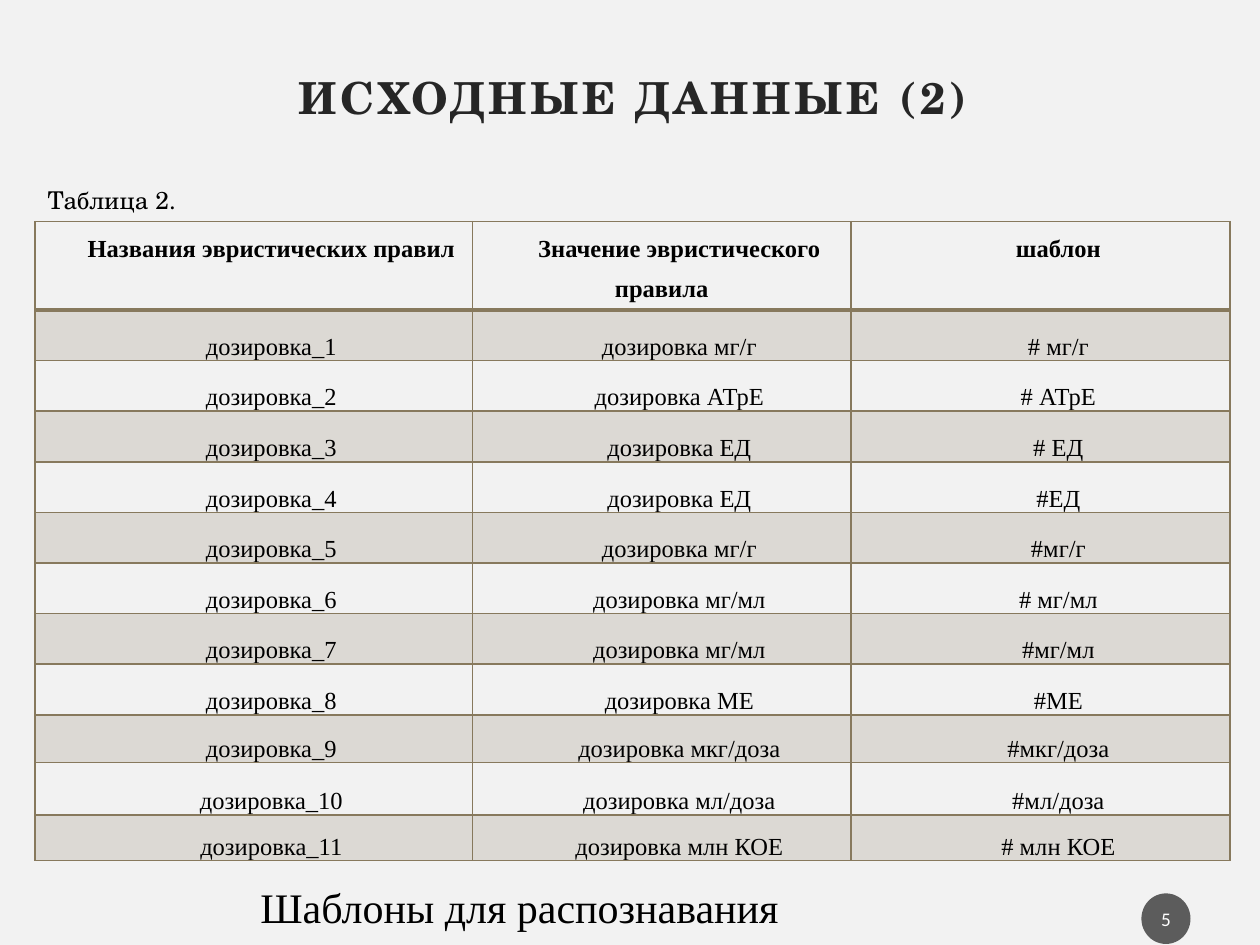
from lxml.etree import SubElement, Element
from pptx import Presentation
from pptx.dml.color import RGBColor as Rgb
from pptx.enum.shapes import MSO_SHAPE as Shape
from pptx.enum.text import MSO_ANCHOR as Anchor, PP_ALIGN as Align
from pptx.oxml.ns import qn
from pptx.util import Cm, Pt

COLORS = {"page": "F2F2F2", "title": "262626", "text": "000000",
          "accent": "87795D", "badge": "1D1D1D", "number": "FFFFFF"}
SERIF, SCHOLA, SANS = "Times New Roman", "TeX Gyre Schola", "Calibri"
HEADER = ("Названия эвристических правил", "Значение эвристического правила", "шаблон")
RULES = [
    ("дозировка мг/г", "# мг/г"),
    ("дозировка АТрЕ", "# АТрЕ"),
    ("дозировка ЕД", "# ЕД"),
    ("дозировка ЕД", "#ЕД"),
    ("дозировка мг/г", "#мг/г"),
    ("дозировка мг/мл", "# мг/мл"),
    ("дозировка мг/мл", "#мг/мл"),
    ("дозировка МЕ", "#МЕ"),
    ("дозировка мкг/доза", "#мкг/доза"),
    ("дозировка мл/доза", "#мл/доза"),
    ("дозировка млн КОЕ", "# млн КОЕ"),
]
COLUMN_WIDTHS = (8.81, 7.64, 7.64)
ROW_HEIGHTS = [1.65] + [1.02] * 8 + [0.96, 1.06, 0.92]


def write(frame, text, size, font=SERIF, color="text", bold=False,
          align=Align.LEFT, spacing=None, indent=None, tracking=None):
    para = frame.paragraphs[0]
    para.alignment = align
    if spacing:
        para.line_spacing = spacing
    if indent:
        para._p.get_or_add_pPr().set("indent", str(Cm(indent)))
    span = para.add_run()
    span.text = text
    span.font.size, span.font.name, span.font.bold = Pt(size), font, bold
    span.font.color.rgb = Rgb.from_string(COLORS[color])
    if tracking:
        span._r.get_or_add_rPr().set("spc", str(tracking * 100))


class Page:
    """Draws the elements of one slide in a shared style."""

    def __init__(self, deck):
        self.page = deck.slides.add_slide(deck.slide_layouts[6])
        self.fill(self.page.background, "page")

    def fill(self, target, color, alpha=None):
        target.fill.solid()
        target.fill.fore_color.rgb = Rgb.from_string(COLORS[color])
        if alpha:
            owner = target._tc if hasattr(target, "_tc") else target._element
            tint = next(owner.iter(qn("a:srgbClr")))
            SubElement(tint, qn("a:alpha"), val=str(alpha * 1000))

    def margins(self, target, side, top):
        target.margin_left = target.margin_right = Cm(side)
        target.margin_top = target.margin_bottom = Cm(top)

    def text(self, place, text, size, inset=(0.25, 0.13), anchor=Anchor.TOP, **style):
        box = self.page.shapes.add_textbox(*map(Cm, place))
        frame = box.text_frame
        frame.word_wrap = True
        frame.vertical_anchor = anchor
        self.margins(frame, *inset)
        write(frame, text, size, **style)

    def badge(self, place, text):
        badge = self.page.shapes.add_shape(Shape.OVAL, *map(Cm, place))
        badge.shadow.inherit = False
        self.fill(badge, "badge", alpha=70)
        badge.line.fill.background()
        frame = badge.text_frame
        frame.vertical_anchor = Anchor.MIDDLE
        self.margins(frame, 0, 0)
        write(frame, text, 11, font=SANS, color="number", align=Align.CENTER)

    def borders(self, cell, top, bottom):
        properties = cell._tc.get_or_add_tcPr()
        for place, (side, width) in enumerate(zip("LRTB", (1, 1, top, bottom))):
            line = Element(qn("a:ln" + side), w=str(Pt(width)))
            paint = SubElement(line, qn("a:solidFill"))
            SubElement(paint, qn("a:srgbClr"), val=COLORS["accent"])
            properties.insert(place, line)

    def table(self, left, top, rows):
        size = map(Cm, (left, top, sum(COLUMN_WIDTHS), sum(ROW_HEIGHTS)))
        table = self.page.shapes.add_table(len(rows), len(COLUMN_WIDTHS), *size).table
        table.first_row = table.horz_banding = False
        for column, width in zip(table.columns, COLUMN_WIDTHS):
            column.width = Cm(width)
        for r, values in enumerate(rows):
            table.rows[r].height = Cm(ROW_HEIGHTS[r])
            for c, value in enumerate(values):
                cell = table.cell(r, c)
                self.margins(cell, 0.13, 0)
                cell.vertical_anchor = Anchor.BOTTOM if r else Anchor.TOP
                if r % 2:
                    self.fill(cell, "accent", alpha=20)
                else:
                    cell.fill.background()
                self.borders(cell, 2 if r == 1 else 1, 1 if r else 2)
                write(cell.text_frame, value, 14, bold=r == 0,
                      align=Align.CENTER, spacing=1.5, indent=0.71)


def main():
    deck = Presentation()
    deck.slide_width, deck.slide_height = Cm(25.4), Cm(19.05)
    page = Page(deck)
    page.text((0.71, 0.99, 24.08, 2.06), "ИСХОДНЫЕ ДАННЫЕ (2)", 25.2,
              inset=(0.51, 0.51), anchor=Anchor.MIDDLE, font=SCHOLA, color="title",
              bold=True, align=Align.CENTER, spacing=0.9, tracking=2)
    page.badge((23.01, 18.01, 0.99, 1.02), "5")
    rows = [(f"дозировка_{number}", *rule) for number, rule in enumerate(RULES, 1)]
    page.table(0.71, 4.47, [HEADER] + rows)
    page.text((5, 17.65, 12.4, 1.27), "Шаблоны для распознавания", 24)
    page.text((0.71, 3.61, 14.58, 0.86), "Таблица 2.", 14, font=SCHOLA)
    deck.save("out.pptx")


if __name__ == "__main__":
    main()
